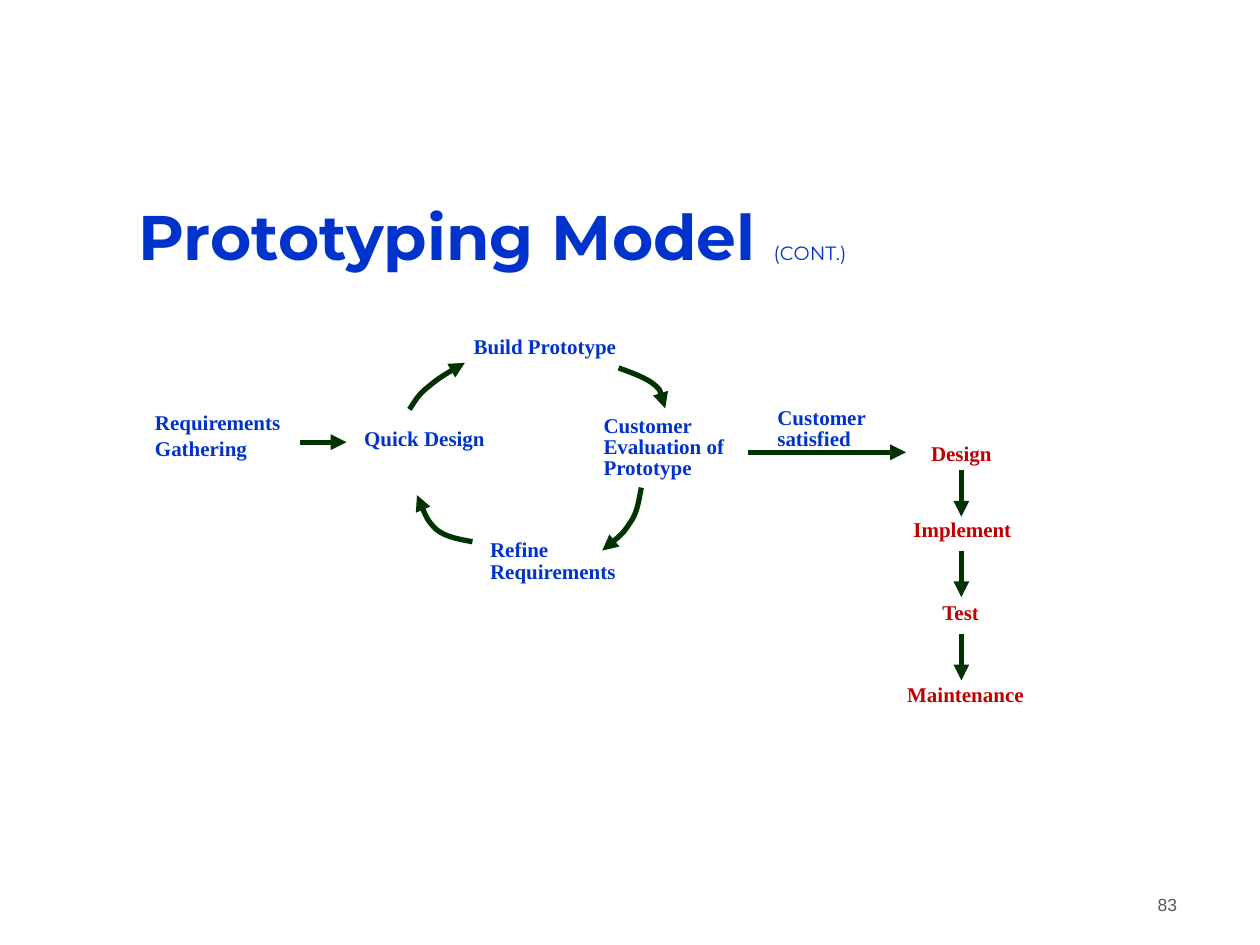
from lxml.etree import SubElement
from pptx import Presentation
from pptx.dml.color import RGBColor
from pptx.enum.shapes import MSO_CONNECTOR
from pptx.enum.text import MSO_ANCHOR, PP_ALIGN
from pptx.oxml.ns import qn
from pptx.util import Inches, Pt

BLUE = RGBColor(0x00, 0x33, 0xCC)
RED = RGBColor(0xC0, 0x00, 0x00)
GREEN = RGBColor(0x00, 0x33, 0x00)
GRAY = RGBColor(0x5E, 0x57, 0x4E)
SERIF = "Times New Roman"

STEPS = [
    ("Requirements\nGathering", 1.22, 3.24, 1.15, 0.7, 0.85, BLUE),
    ("Quick Design", 2.88, 3.37, 1.12, 0.28, 0.85, BLUE),
    ("Refine Requirements", 3.88, 4.25, 1.31, 0.47, 0.85, BLUE),
    ("Build Prototype", 3.75, 2.64, 1.25, 0.47, 0.85, BLUE),
    ("Customer\nEvaluation of\nPrototype", 4.78, 3.3, 1.31, 0.69, 0.63, BLUE),
    ("Customer satisfied", 6.16, 3.2, 1.25, 0.48, 0.85, BLUE),
    ("Design", 7.38, 3.49, 0.94, 0.27, 0.85, RED),
    ("Implement", 7.24, 4.09, 0.94, 0.27, 0.85, RED),
    ("Test", 7.47, 4.75, 0.94, 0.27, 0.85, RED),
    ("Maintenance", 7.19, 5.4, 1.12, 0.27, 0.85, RED),
]
ARROWS = [(2.38, 3.51, 2.75, 3.51), (5.94, 3.59, 7.19, 3.59)]
ARROWS += [(7.63, top, 7.63, top + 0.37) for top in (3.73, 4.37, 5.03)]
CURVES = [
    [(3.25, 3.25), (3.29, 3.19), (3.32, 3.13), (3.4, 3.07),
     (3.47, 3.01), (3.58, 2.94), (3.69, 2.88)],
    [(4.91, 2.92), (5.02, 2.96), (5.13, 3), (5.19, 3.05),
     (5.25, 3.1), (5.26, 3.17), (5.28, 3.24)],
    [(5.09, 3.87), (5.07, 3.97), (5.06, 4.07), (5, 4.15),
     (4.95, 4.23), (4.87, 4.3), (4.78, 4.37)],
    [(3.75, 4.3), (3.64, 4.28), (3.53, 4.26), (3.46, 4.2),
     (3.39, 4.13), (3.35, 4.03), (3.31, 3.93)],
]


def add_box(slide, text, left, top, width, height, pad=(0.01, 0.04)):
    box = slide.shapes.add_textbox(*map(Inches, (left, top, width, height)))
    frame = box.text_frame
    frame.word_wrap = True
    frame.margin_left = frame.margin_right = Inches(pad[0])
    frame.margin_top = frame.margin_bottom = Inches(pad[1])
    frame.text = text
    return frame


def set_font(run, name, size, color, bold=False):
    font = run.font
    font.name, font.size, font.bold = name, Pt(size), bold
    font.color.rgb = color


def add_step(slide, text, left, top, width, height, space, color):
    frame = add_box(slide, text, left, top, width, height)
    for i, para in enumerate(frame.paragraphs):
        para.line_spacing = space
        para.space_before = Pt(2.8 if i else 0)
        set_font(para.runs[0], SERIF, 12, color, True)


def set_line(shape):
    shape.line.color.rgb = GREEN
    shape.line.width = Pt(3)
    SubElement(shape.line._get_or_add_ln(), qn("a:tailEnd"), type="triangle")


def add_arrow(slide, *ends):
    line = slide.shapes.add_connector(MSO_CONNECTOR.STRAIGHT, *map(Inches, ends))
    set_line(line)
    SubElement(line._element.spPr, qn("a:effectLst"))


def add_curve(slide, points):
    pen = slide.shapes.build_freeform(*points[0], scale=Inches(1) / 1.0)
    pen = slide.shapes.build_freeform(*map(Inches, points[0]))
    pen.add_line_segments([tuple(map(Inches, p)) for p in points[1:]], close=False)
    shape = pen.convert_to_shape()
    shape.fill.background()
    shape.shadow.inherit = False
    set_line(shape)
    track = shape._element.find(".//" + qn("a:path"))
    parts = track.findall(qn("a:lnTo"))
    for i in range(0, len(parts), 3):
        bend = SubElement(track, qn("a:cubicBezTo"))
        for part in parts[i:i + 3]:
            bend.append(part[0])
            track.remove(part)


def main():
    deck = Presentation()
    deck.slide_width, deck.slide_height = Inches(10), Inches(7.5)
    slide = deck.slides.add_slide(deck.slide_layouts[6])

    title = add_box(slide, "Prototyping Model ", 1.09, 1.4, 6.37, 0.94)
    title.vertical_anchor = MSO_ANCHOR.MIDDLE
    para = title.paragraphs[0]
    set_font(para.runs[0], "Montserrat", 36, BLUE, True)
    note = para.add_run()
    note.text = "(CONT.)"
    set_font(note, "Montserrat", 11, BLUE)

    page = add_box(slide, "83", 7.36, 6.81, 2.08, 0.5, (0.1, 0.05))
    page.vertical_anchor = MSO_ANCHOR.BOTTOM
    page.paragraphs[0].alignment = PP_ALIGN.RIGHT
    set_font(page.paragraphs[0].runs[0], "Arial", 10, GRAY)

    for step in STEPS:
        add_step(slide, *step)
    for ends in ARROWS:
        add_arrow(slide, *ends)
    for points in CURVES:
        add_curve(slide, points)
    deck.save("out.pptx")


if __name__ == "__main__":
    main()
